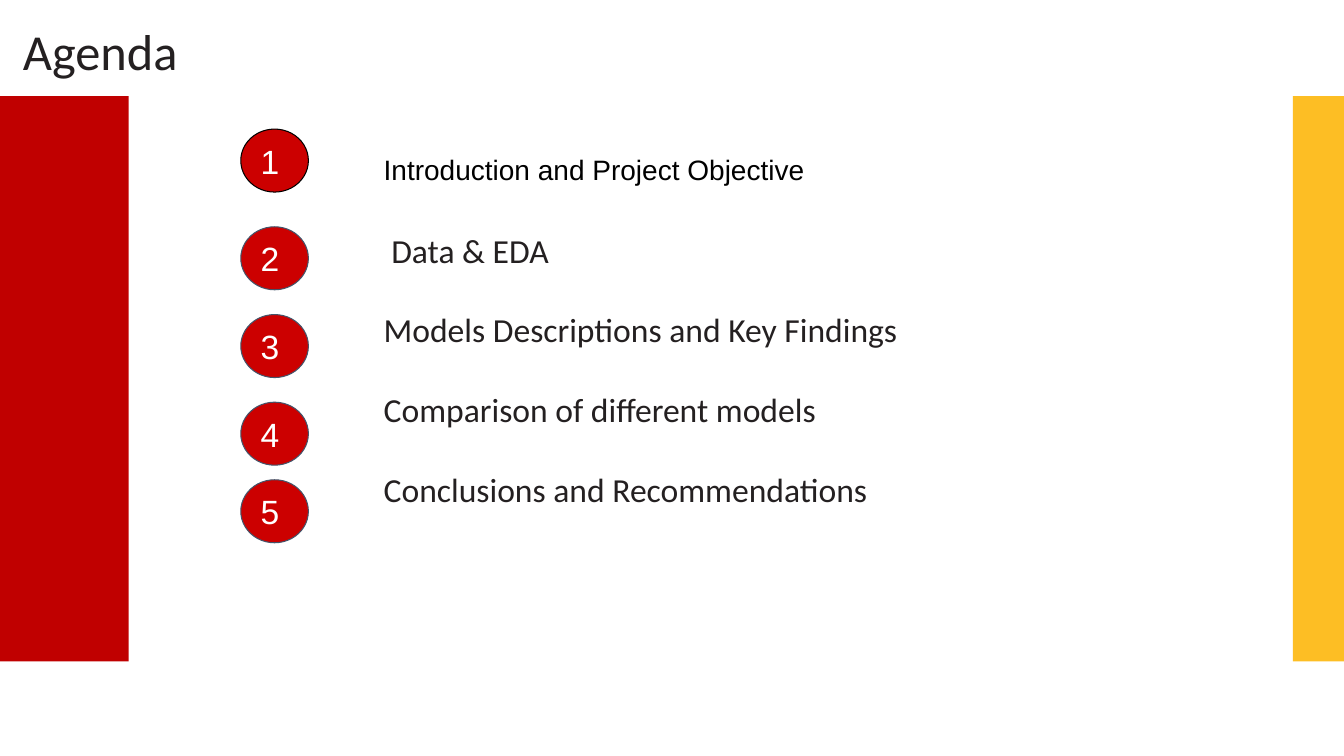
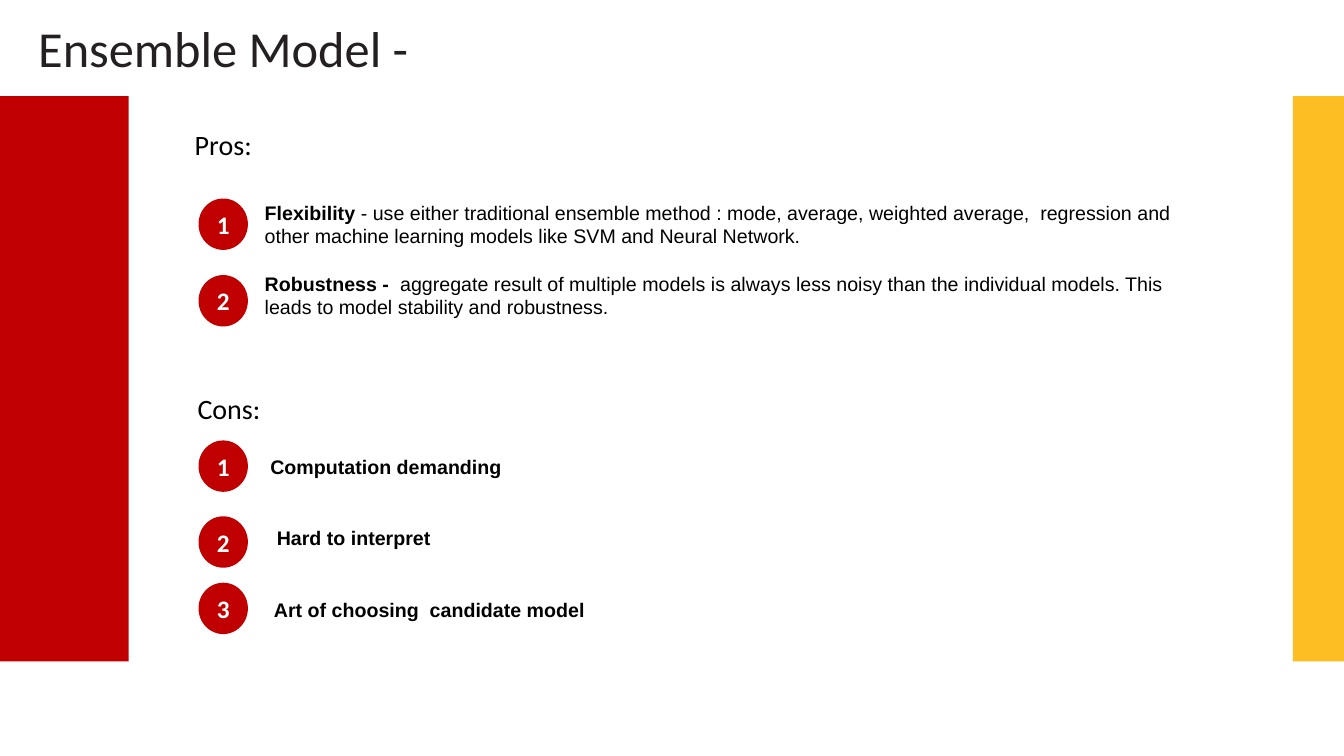
from pptx import Presentation
from pptx.dml.color import RGBColor
from pptx.enum.shapes import MSO_SHAPE as Shape
from pptx.enum.text import MSO_ANCHOR as Anchor, PP_ALIGN as Align
from pptx.util import Pt

WIDTH, HEIGHT = 960, 540
RED, BADGE_RED, YELLOW = "C00000", "CC0000", "FDBE24"
INK, BLACK, WHITE, SLATE = "242021", "000000", "FFFFFF", "44546A"
BAND_TOP, BAND_HEIGHT = 68.7, 403.8
LEFT_BAND, RIGHT_BAND = 92, 36.5
CONTENT = (LEFT_BAND, BAND_TOP, WIDTH - LEFT_BAND - RIGHT_BAND, BAND_HEIGHT)


def color(value):
    return RGBColor.from_string(value)


def write(paragraph, text, font="Arial", size=14, ink=BLACK, bold=False,
          align=Align.LEFT, before=0, spacing=None):
    paragraph.alignment = align
    paragraph.space_before = Pt(before)
    if spacing:
        paragraph.line_spacing = spacing
    run = paragraph.add_run()
    run.text = text
    run.font.name = font
    run.font.size = Pt(size)
    run.font.bold = bold
    run.font.color.rgb = color(ink)


def add_frame(slide, left, top, width, height):
    box = slide.shapes.add_textbox(Pt(left), Pt(top), Pt(width), Pt(height))
    box.text_frame.word_wrap = True
    return box.text_frame


def next_paragraph(frame, index):
    return frame.add_paragraph() if index else frame.paragraphs[0]


def add_filled(slide, kind, left, top, width, height, fill, line=None):
    shape = slide.shapes.add_shape(kind, Pt(left), Pt(top), Pt(width), Pt(height))
    shape.shadow.inherit = False
    shape.fill.solid()
    shape.fill.fore_color.rgb = color(fill)
    if line:
        shape.line.color.rgb = color(line)
        shape.line.width = Pt(0.75)
    else:
        shape.line.fill.background()
    return shape


def add_badge(slide, left, top, width, height, number, fill=RED, line=None,
              inset=3.6, **style):
    badge = add_filled(slide, Shape.OVAL, left, top, width, height, fill, line)
    frame = badge.text_frame
    frame.vertical_anchor = Anchor.MIDDLE
    frame.margin_left = frame.margin_right = Pt(7.2)
    frame.margin_top = frame.margin_bottom = Pt(inset)
    write(frame.paragraphs[0], str(number), ink=WHITE, **style)


def add_base(presentation, title, left, top):
    slide = presentation.slides.add_slide(presentation.slide_layouts[6])
    add_filled(slide, Shape.RECTANGLE, 0, BAND_TOP, LEFT_BAND, BAND_HEIGHT, RED)
    add_filled(slide, Shape.RECTANGLE, WIDTH - RIGHT_BAND, BAND_TOP,
               RIGHT_BAND, BAND_HEIGHT, YELLOW)
    frame = add_frame(slide, left, top, WIDTH - left, 51)
    write(frame.paragraphs[0], title, font="Calibri", size=36, ink=INK)
    return slide


def add_agenda(slide, box, items):
    left, top, width, height = box
    badge_tops = (23.5, 93.3, 156, 218.6, 274)
    for number, badge_top in enumerate(badge_tops, 1):
        add_badge(slide, left + 80, top + badge_top, 48.3, 45, number,
                  fill=BADGE_RED, line=BLACK if number == 1 else SLATE,
                  inset=7.2, size=24)
    frame = add_frame(slide, left + 175, top + 32.8, width - 258, height - 64)
    first, second, *others = items
    write(frame.paragraphs[0], first, size=20, before=5, spacing=1.15)
    body = dict(font="Calibri", size=24, ink=INK)
    paragraph = frame.add_paragraph()
    write(paragraph, second, before=31.5, **body)
    paragraph._p.get_or_add_pPr().set("marL", str(Pt(5.4)))
    for item in others:
        write(frame.add_paragraph(), item, before=28, **body)


def add_heading(slide, left, top, text):
    frame = add_frame(slide, left, top, 120, 31.5)
    write(frame.paragraphs[0], text, font="Calibri", size=20)


def add_badges(slide, left, tops):
    for number, top in enumerate(tops, 1):
        add_badge(slide, left, top, 35.3, 36.7, number, font="Calibri",
                  size=18, bold=True, align=Align.CENTER)


def add_pros(slide, box, items):
    left, top, width, height = box
    add_heading(slide, left + 40, top, "Pros:")
    frame = add_frame(slide, left + 90, top + 52, width - 165, 92)
    for index, (term, detail) in enumerate(items):
        paragraph = next_paragraph(frame, index)
        write(paragraph, term, bold=True, before=17 if index else 0)
        write(paragraph, detail, before=17 if index else 0)
    add_badges(slide, left + 49.8, [top + 54, top + 108.7])


def add_cons(slide, box, items):
    left, top, width, height = box
    add_heading(slide, left + 42, top, "Cons:")
    for index, (indent, text) in enumerate(items):
        frame = add_frame(slide, left + 94 + indent, top + 45.6 + 51 * index,
                          width - 165, 24)
        write(frame.paragraphs[0], text, bold=True)
    add_badges(slide, left + 49.8, [top + 38.8, top + 93, top + 140.4])


def main():
    presentation = Presentation()
    presentation.slide_width, presentation.slide_height = Pt(WIDTH), Pt(HEIGHT)

    agenda = add_base(presentation, "Agenda", 9.3, 10.8)
    add_agenda(agenda, CONTENT, [
        "Introduction and Project Objective",
        "Data & EDA",
        "Models Descriptions and Key Findings",
        "Comparison of different models",
        "Conclusions and Recommendations",
    ])

    ensemble = add_base(presentation, "Ensemble Model -", 20.2, 8.6)
    left, top, width, height = CONTENT
    add_pros(ensemble, (left, top + 19.1, width, 146), [
        ("Flexibility", " - use either traditional ensemble method : mode, average, "
         "weighted average,  regression and other machine learning models like "
         "SVM and Neural Network."),
        ("Robustness - ", " aggregate result of multiple models is always less noisy "
         "than the individual models. This leads to model stability and robustness."),
    ])
    add_cons(ensemble, (left, top + 207.1, width, 178), [
        (0, "Computation demanding"),
        (4.6, "Hard to interpret"),
        (2.6, "Art of choosing  candidate model"),
    ])
    presentation.save("out.pptx")


if __name__ == "__main__":
    main()
